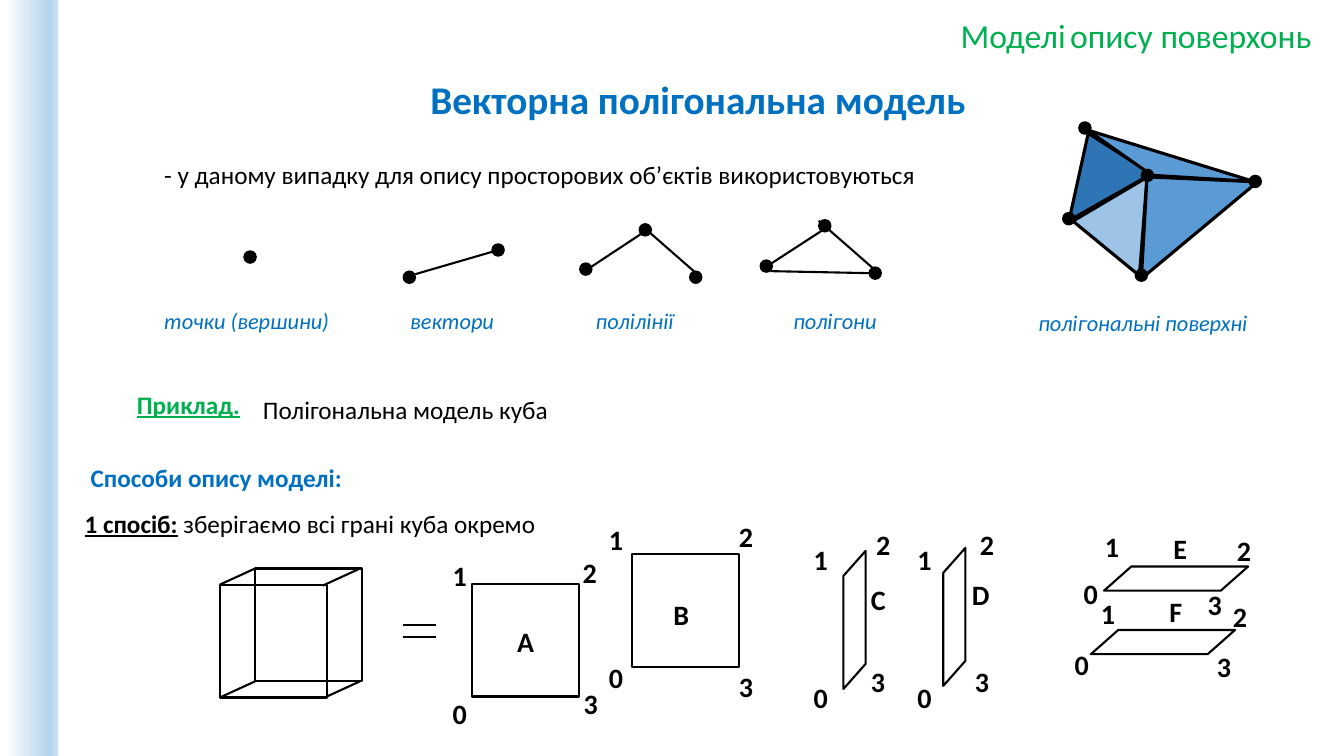
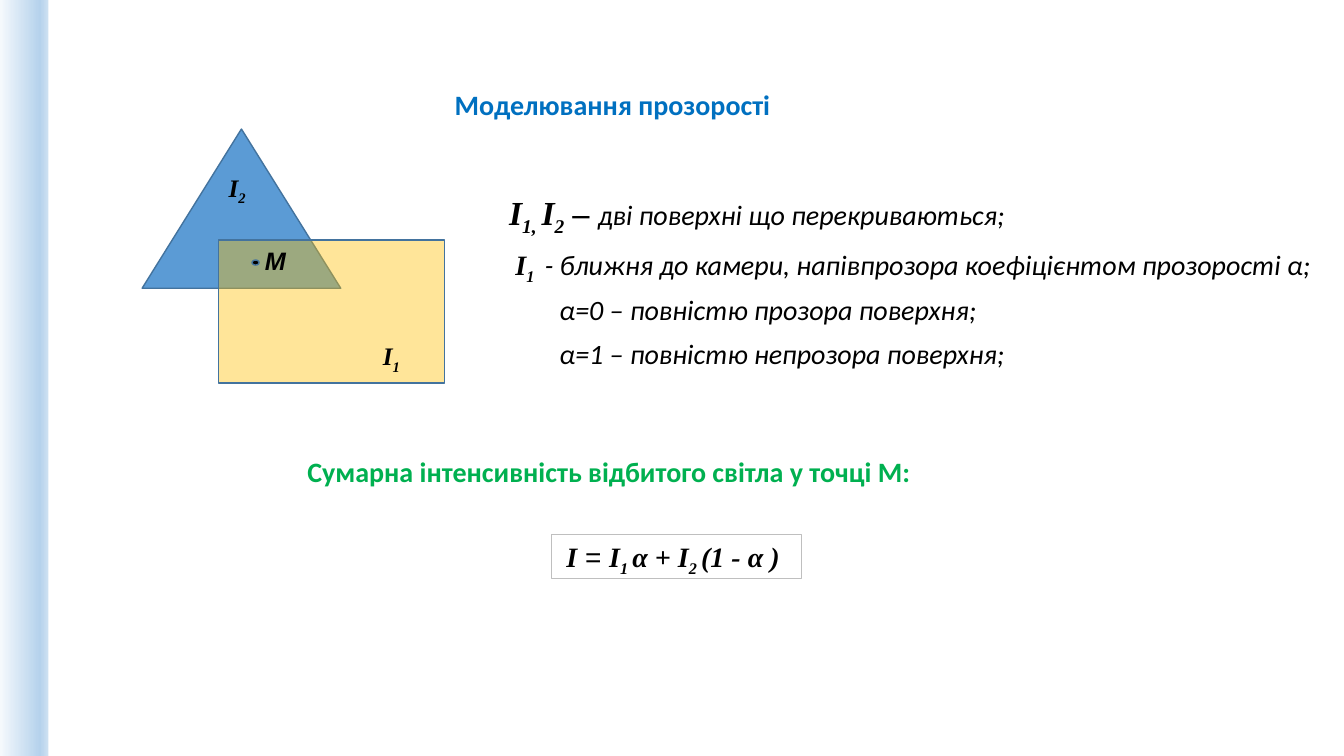
from copy import deepcopy
from lxml import etree
from pptx import Presentation
from pptx.dml.color import RGBColor
from pptx.enum.shapes import MSO_CONNECTOR as Link, MSO_SHAPE as Kind
from pptx.enum.text import PP_ALIGN as Align
from pptx.oxml.ns import qn
from pptx.util import Inches, Pt

hue = RGBColor.from_string
BLACK, BLUE, GREEN = "000000", "0070C0", "00B050"
SKY, EDGE = "5B9BD5", "43739E"
FADE = [(0, "F7FAFD"), (0.83, "B5D2EC"), (1, "CEE1F2")]
FONTS = {"t": "Times New Roman", "a": "Arial"}


def draw(slide, kind, box, fill=None, line=None, width=1, turn=0, adj=None):
    shape = slide.shapes.add_shape(kind, *map(Inches, box))
    shape.shadow.inherit = False
    shape.rotation = turn
    if adj is not None:
        shape.adjustments[0] = adj
    if fill:
        shape.fill.solid()
        shape.fill.fore_color.rgb = hue(fill)
    else:
        shape.fill.background()
    if line:
        shape.line.color.rgb = hue(line)
        shape.line.width = Pt(width)
    else:
        shape.line.fill.background()
    return shape


# Each run is (text, style[, size]); style letters: b, i, u, s = subscript,
# t = Times New Roman, a = Arial
def note(slide, box, paras, size, tint=BLACK):
    area = slide.shapes.add_textbox(*map(Inches, box))
    frame = area.text_frame
    frame.word_wrap = True
    for n, runs in enumerate(paras):
        para = frame.add_paragraph() if n else frame.paragraphs[0]
        for text, style, *own in runs:
            run = para.add_run()
            run.text = text
            font = run.font
            font.size = Pt(own[0] if own else size)
            font.name = next((FONTS[c] for c in style if c in FONTS), "Calibri")
            font.color.rgb = hue(tint)
            font.bold, font.italic = "b" in style, "i" in style
            font.underline = "u" in style
            if "s" in style:
                run._r.get_or_add_rPr().set("baseline", "-25000")
    return area


# Slides with the shaded band
prs = Presentation()
prs.slide_width, prs.slide_height = Inches(13.33), Inches(7.5)
pages = []
for left in (0.09, -0.01):
    page = prs.slides.add_slide(prs.slide_layouts[6])
    band = draw(page, Kind.RECTANGLE, (left, 0, 0.49, 7.5))
    band.fill.gradient()
    band.fill.gradient_angle = 0
    stops = band._element.spPr.find(qn("a:gradFill")).find(qn("a:gsLst"))
    stops.append(deepcopy(stops[-1]))
    for stop, (pos, tint) in zip(band.fill.gradient_stops, FADE):
        stop.position = pos
        stop.color.rgb = hue(tint)
    pages.append(page)
model, glass = pages

# Slide 1: headings and text
note(model, (4.17, 0.7, 5.7, 0.57), [[("Векторна полігональна модель", "b")]], 28, BLUE)
note(model, (9.43, 0.1, 3.85, 0.5),
     [[("Моделі", ""), (" ", "", 14), ("опису поверхонь", "")]], 24, GREEN)
note(model, (1.53, 1.53, 9.59, 0.4),
     [[("- у даному випадку для опису просторових об’єктів використовуються", "")]], 18)
note(model, (2.51, 3.86, 3.3, 0.4), [[("Полігональна модель куба", "")]], 18)
note(model, (1.26, 3.81, 1.4, 0.4), [[("Приклад.", "bu")]], 18, GREEN)
note(model, (0.8, 4.54, 2.9, 0.4), [[("Способи опису моделі:", "b")]], 18, BLUE)
note(model, (0.74, 4.99, 5.61, 0.4),
     [[("1 спосіб:", "bu"), (" зберігаємо всі грані куба окремо", "")]], 18)
for x, y, text in [(1.53, 3, "точки (вершини)"), (3.97, 3, "вектори"),
                   (5.81, 3, "полілінії"), (7.77, 3, "полігони"),
                   (10.2, 3.02, "полігональні поверхні")]:
    note(model, (x, y, 2.54, 0.37), [[(text, "i")]], 16, BLUE)

# Polygon surface
for box, turn, adj, fill in [
        ((10.5, 1.87, 0.98, 0.7), 274.4, 0.5, "9DC3E6"),
        ((10.91, 1.63, 1.5, 0.74), 320.2, 0.46, SKY),
        ((10.38, 1.34, 0.94, 0.66), 330.5, 0.63, "2E75B6"),
        ((10.71, 1.54, 1.73, 0.24), 197.2, 0.57, SKY)]:
    draw(model, Kind.ISOSCELES_TRIANGLE, box, fill, BLACK, 2.25, turn, adj)

# Vertices
for x, y in [(2.42, 2.49), (4, 2.69), (4.88, 2.42),
             (5.75, 2.61), (6.34, 2.22), (6.84, 2.69),
             (7.54, 2.58), (8.12, 2.18), (8.62, 2.65),
             (10.7, 1.21), (10.54, 2.11), (11.32, 1.68), (12.39, 1.74), (11.26, 2.67)]:
    draw(model, Kind.OVAL, (x, y, 0.12, 0.12), BLACK, BLACK)

# Straight lines: vectors, equals sign, slanted cube edges
lines = [(4.12, 2.72, 4.91, 2.49),
         (5.83, 2.67, 6.39, 2.3), (6.39, 2.26, 6.95, 2.75),
         (7.61, 2.64, 8.18, 2.27), (8.12, 2.19, 8.68, 2.68), (7.64, 2.69, 8.62, 2.71)]
lines += [(4, y, 4.32, y) for y in (6.2, 6.32)]
lines += [(x, y, x + 0.35, y - 0.16)
          for x, y in [(2.18, 5.8), (2.18, 6.92), (3.2, 5.81), (3.22, 6.92)]]
for ends in lines:
    line = model.shapes.add_connector(Link.STRAIGHT, *map(Inches, ends))
    line.line.color.rgb = hue(BLACK)
    line.line.width = Pt(1.5)
    etree.SubElement(line._element.spPr, qn("a:effectLst"))

# Cube and its faces
for x, y in [(2.18, 5.8), (2.53, 5.64), (4.68, 5.79), (6.27, 5.5)]:
    draw(model, Kind.RECTANGLE, (x, y, 1.06, 1.12), None, BLACK, 1.5)
for x, y in [(10.95, 5.62), (10.82, 6.25)]:
    draw(model, Kind.PARALLELOGRAM, (x, y, 1.43, 0.24), None, BLACK, 1.5, adj=1.13)
for x, y in [(7.79, 6.04), (8.78, 6.01)]:
    side = draw(model, Kind.PARALLELOGRAM, (x, y, 1.37, 0.22), None, BLACK, 1.5, 270, 1.13)
    side._element.spPr.xfrm.set("flipH", "1")

# Face letters, then corners 0 to 3
for face, *spots in [
        ("A", (5.03, 6.15), (4.39, 6.86), (4.39, 5.49), (5.68, 5.46), (5.69, 6.76)),
        ("B", (6.58, 5.88), (5.94, 6.5), (5.94, 5.13), (7.23, 5.1), (7.23, 6.59)),
        ("C", (8.54, 5.73), (7.97, 6.7), (7.97, 5.33), (8.59, 5.18), (8.54, 6.54)),
        ("D", (9.54, 5.68), (9, 6.7), (9, 5.33), (9.62, 5.18), (9.57, 6.54)),
        ("E", (11.54, 5.22), (10.65, 5.67), (10.86, 5.2), (12.17, 5.24), (11.88, 5.78)),
        ("F", (11.5, 5.85), (10.56, 6.37), (10.82, 5.87), (12.13, 5.9), (11.97, 6.39))]:
    for mark, (x, y) in zip(face + "0123", spots):
        note(model, (x, y, 0.82, 0.44), [[(mark, "b")]], 20)

# Slide 2: headings
note(glass, (4.41, 0.82, 6.47, 0.44), [[("Моделювання прозорості", "b")]], 20, BLUE)
note(glass, (2.95, 4.46, 6.4, 0.44),
     [[("Сумарна інтенсивність відбитого світла у точці М:", "b")]], 20, GREEN)

# Overlapping surfaces
draw(glass, Kind.ISOSCELES_TRIANGLE, (1.41, 1.28, 1.97, 1.58), SKY, EDGE)
pane = draw(glass, Kind.RECTANGLE, (2.17, 2.38, 2.24, 1.42), "FFC000", EDGE)
tone = pane._element.spPr.find(qn("a:solidFill")).find(qn("a:srgbClr"))
etree.SubElement(tone, qn("a:alpha")).set("val", "40000")
draw(glass, Kind.OVAL, (2.5, 2.58, 0.07, 0.05), BLACK, EDGE)
note(glass, (3.7, 3.33, 0.63, 0.4), [[("I", "bit"), ("1", "bits")]], 18)
note(glass, (2.17, 1.66, 0.57, 0.4), [[("I", "bit"), ("2", "bits")]], 18)
note(glass, (2.53, 2.38, 0.5, 0.4), [[("M", "bia")]], 18)

# Explanation
body = note(glass, (4.95, 1.86, 8.35, 2), [
    [("I", "bit", 24), ("1, ", "bits", 24), ("I", "bit", 24), ("2", "bits", 24),
     (" – ", "bit", 24), ("дві поверхні що перекриваються;", "i")],
    [(" ", "i"), ("I", "bit"), ("1 ", "bits"),
     (" - ближня до камери, напівпрозора коефіцієнтом прозорості α;", "i")],
    [("\tα=0 – повністю прозора поверхня;", "i")],
    [("\tα=1 – повністю непрозора поверхня;", "i")]], 20)
for para in body.text_frame.paragraphs:
    para.line_spacing = 0.9
    para.space_before = Pt(10)

# Formula
sums = note(glass, (5.47, 5.3, 2.48, 0.44), [[
    ("I", "bit"), (" = ", "a"), ("I", "bit"), ("1 ", "bits"), ("α + I", "bit"),
    ("2 ", "bits"), ("(1 - α ) ", "bit")]], 20)
sums.text_frame.paragraphs[0].alignment = Align.CENTER
sums.line.color.rgb = hue("BFBFBF")
sums.line.width = Pt(0.75)

prs.save("out.pptx")
